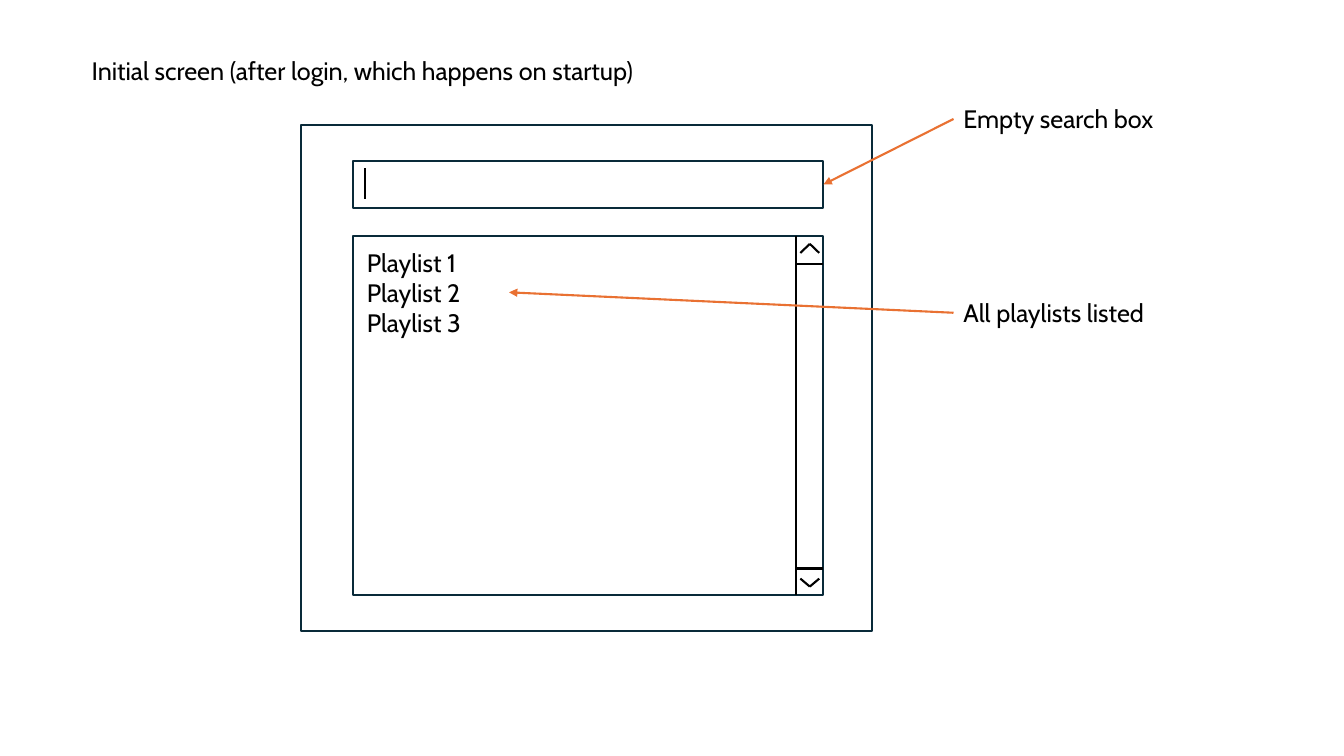
from lxml import etree
from pptx import Presentation
from pptx.dml.color import RGBColor
from pptx.enum import shapes as sh, text as tx
from pptx.oxml import ns
from pptx.util import Pt

BLACK = RGBColor(0x00, 0x00, 0x00)
NAVY = RGBColor(0x09, 0x2A, 0x39)
ORANGE = RGBColor(0xE9, 0x71, 0x32)
FONT = "Cabin"

LEFT, RIGHT = 252, 588.2  # edges shared by search box and list
TOP, BASE = 168.5, 424.8  # list edges
BAR = 568.8  # left edge of the scroll bar
NOTE = 681.1  # left edge of the notes


def add_box(slide, x, y, w, h):
    box = slide.shapes.add_shape(
        sh.MSO_SHAPE.RECTANGLE, Pt(x), Pt(y), Pt(w), Pt(h))
    box.shadow.inherit = False
    box.fill.background()
    box.line.color.rgb = NAVY
    box.line.width = Pt(1.5)


def add_line(slide, start, end, color=BLACK):
    line = slide.shapes.add_connector(
        sh.MSO_CONNECTOR.STRAIGHT, *map(Pt, start + end))
    line.line.color.rgb = color
    line.line.width = Pt(1.5)
    etree.SubElement(line._element.spPr, ns.qn("a:effectLst"))
    return line


def add_arrow(slide, start, end):
    line = add_line(slide, start, end, ORANGE)
    tip = etree.SubElement(line.line._get_or_add_ln(), ns.qn("a:tailEnd"))
    tip.set("type", "triangle")


def add_text(slide, words, x, y, w, h=29.08, wrap=False):
    box = slide.shapes.add_textbox(Pt(x), Pt(y), Pt(w), Pt(h))
    frame = box.text_frame
    frame.word_wrap = wrap
    frame.auto_size = tx.MSO_AUTO_SIZE.SHAPE_TO_FIT_TEXT
    frame.text = words
    for para in frame.paragraphs:
        for run in para.runs:
            run.font.name = FONT
            run.font.size = Pt(18)
            run.font.color.rgb = BLACK


def add_scroll(slide):
    """Draw the bar, its two button edges and their chevrons."""
    add_line(slide, (BAR, TOP), (BAR, BASE))
    for edge, foot, peak in ((188.6, 180.7, 174.2), (406.1, 413.3, 419)):
        add_line(slide, (BAR, edge), (RIGHT, edge))
        for side in (571.7, 585.2):
            add_line(slide, (side, foot), (578.45, peak))


def main():
    deck = Presentation()
    deck.slide_width, deck.slide_height = Pt(960), Pt(540)
    slide = deck.slides.add_slide(deck.slide_layouts[6])

    add_text(slide, "Initial screen (after login, which happens on startup)",
             58.3, 36, 419)
    add_box(slide, 215.3, 89.3, 407.5, 361.4)

    add_box(slide, LEFT, 115.2, RIGHT - LEFT, 33.5)
    add_line(slide, (260.6, 120.2), (260.6, 141.8))
    add_arrow(slide, (NOTE, 85), (RIGHT, 131.8))
    add_text(slide, "Empty search box", NOTE, 70.6, 153.4)

    add_box(slide, LEFT, TOP, RIGHT - LEFT, BASE - TOP)
    add_scroll(slide)
    names = "\n".join(f"Playlist {n}" for n in range(1, 4))
    add_text(slide, names, 254.9, 172.8, 310.3, 72.7, wrap=True)
    add_text(slide, "All playlists listed", NOTE, 208.8, 150.5)
    add_arrow(slide, (NOTE, 223.4), (363.6, 208.8))

    deck.save("out.pptx")


if __name__ == "__main__":
    main()
